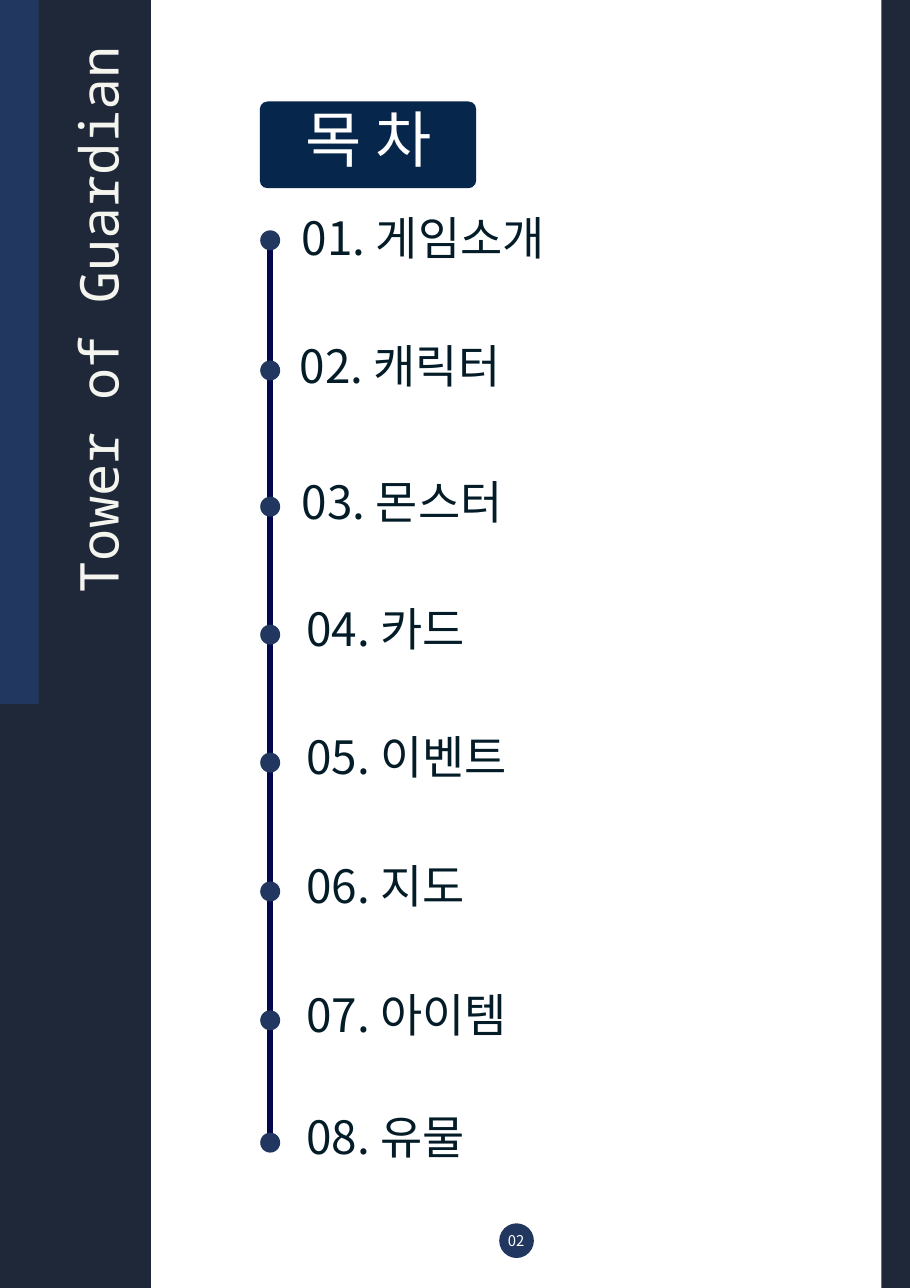
import pptx
import pptx.util
import pptx.dml.color
import pptx.enum.shapes
import pptx.enum.text
import pptx.oxml
import pptx.oxml.ns

Cm = pptx.util.Cm
Pt = pptx.util.Pt
RGBColor = pptx.dml.color.RGBColor
SHAPE = pptx.enum.shapes.MSO_SHAPE
ALIGN = pptx.enum.text.PP_ALIGN
ANCHOR = pptx.enum.text.MSO_ANCHOR

WHITE = RGBColor(0xFF, 0xFF, 0xFF)
CREAM = RGBColor(0xF5, 0xF5, 0xEF)
INK = RGBColor(0x03, 0x1C, 0x27)
SLATE = RGBColor(0x1F, 0x28, 0x39)
BLUE = RGBColor(0x21, 0x37, 0x60)
NAVY = RGBColor(0x06, 0x26, 0x4C)
RAIL = RGBColor(0x02, 0x08, 0x4B)

SANS = "Noto Sans CJK KR"
MONO = "Noto Sans Mono"
WIDE, HIGH = 20.98, 29.69
AXIS = 6.23
DOT = 0.46

ITEMS = [
    ("게임소개", 6.96, 5.54, 5.54),
    ("캐릭터", 6.91, 8.54, 8.48),
    ("몬스터", 6.96, 11.68, 11.61),
    ("카드", 7.06, 14.63, 14.55),
    ("이벤트", 7.06, 17.58, 17.5),
    ("지도", 7.06, 20.55, 20.47),
    ("아이템", 7.06, 23.52, 23.44),
    ("유물", 7.06, 26.34, 26.26),
]


def add_block(slide, kind, left, top, width, height, color):
    block = slide.shapes.add_shape(kind, Cm(left), Cm(top), Cm(width), Cm(height))
    block.shadow.inherit = False
    block.fill.solid()
    block.fill.fore_color.rgb = color
    block.line.fill.background()
    return block


def add_dot(slide, x, y, size):
    add_block(slide, SHAPE.OVAL, x - size / 2, y - size / 2, size, size, BLUE)


def add_text(slide, text, left, top, width, height, size, space, color,
             font=SANS, align=ALIGN.CENTER, anchor=ANCHOR.TOP):
    box = slide.shapes.add_textbox(Cm(left), Cm(top), Cm(width), Cm(height))
    frame = box.text_frame
    frame.word_wrap = True
    frame.auto_size = pptx.enum.text.MSO_AUTO_SIZE.SHAPE_TO_FIT_TEXT
    frame.vertical_anchor = anchor
    frame.margin_left = frame.margin_right = 0
    frame.margin_top = frame.margin_bottom = 0
    line = frame.paragraphs[0]
    line.alignment = align
    line.line_spacing = Pt(space)
    run = line.add_run()
    run.text = text
    run.font.size = Pt(size)
    run.font.name = font
    run.font.color.rgb = color
    east = pptx.oxml.parse_xml(
        f'<a:ea {pptx.oxml.ns.nsdecls("a")} typeface="{font}"/>')
    run.font._element.find(pptx.oxml.ns.qn("a:latin")).addnext(east)
    return box


def add_rail(slide, top, bottom):
    rail = slide.shapes.add_connector(
        pptx.enum.shapes.MSO_CONNECTOR.STRAIGHT,
        Cm(AXIS), Cm(top), Cm(AXIS), Cm(bottom))
    rail.line.color.rgb = RAIL
    rail.line.width = Pt(3.75)
    rail._element.spPr.append(pptx.oxml.parse_xml(
        f'<a:effectLst {pptx.oxml.ns.nsdecls("a")}/>'))


def add_title(slide):
    plate = add_block(slide, SHAPE.ROUNDED_RECTANGLE, 5.99, 2.34, 4.99, 2, NAVY)
    plate.adjustments[0] = 0.09
    add_text(slide, "목 차", 6.4, 3.38, 4.22, 0.69, 40, 17.3, WHITE,
             anchor=ANCHOR.MIDDLE)


def add_sides(slide):
    add_block(slide, SHAPE.RECTANGLE, 20.32, 0, WIDE - 20.32, HIGH, SLATE)
    add_block(slide, SHAPE.RECTANGLE, 0, 0, 3.48, HIGH, SLATE)
    add_block(slide, SHAPE.RECTANGLE, 0, 0, 0.89, 16.23, BLUE)
    name = add_text(slide, "Tower of Guardian", -5.09, 6.48, 14.22, 1.78,
                    35, 52.5, CREAM, MONO)
    name.rotation = 270


def add_list(slide):
    add_rail(slide, 5.41, 26.26)
    for count, (label, left, middle, top) in enumerate(ITEMS, 1):
        add_dot(slide, AXIS, middle, DOT)
        add_text(slide, f"{count:02}. {label}", left, top, 10, 0.61,
                 30, 16.1, INK, align=ALIGN.LEFT)


def add_page(slide):
    add_dot(slide, 11.91, 28.6, 0.8)
    add_text(slide, "02", 11.66, 28.32, 0.48, 0.43, 9.7, 13.5, WHITE)


def main():
    deck = pptx.Presentation()
    deck.slide_width = Cm(WIDE)
    deck.slide_height = Cm(HIGH)
    slide = deck.slides.add_slide(deck.slide_layouts[6])
    slide.background.fill.solid()
    slide.background.fill.fore_color.rgb = WHITE
    add_sides(slide)
    add_title(slide)
    add_list(slide)
    add_page(slide)
    deck.save("out.pptx")


if __name__ == "__main__":
    main()
